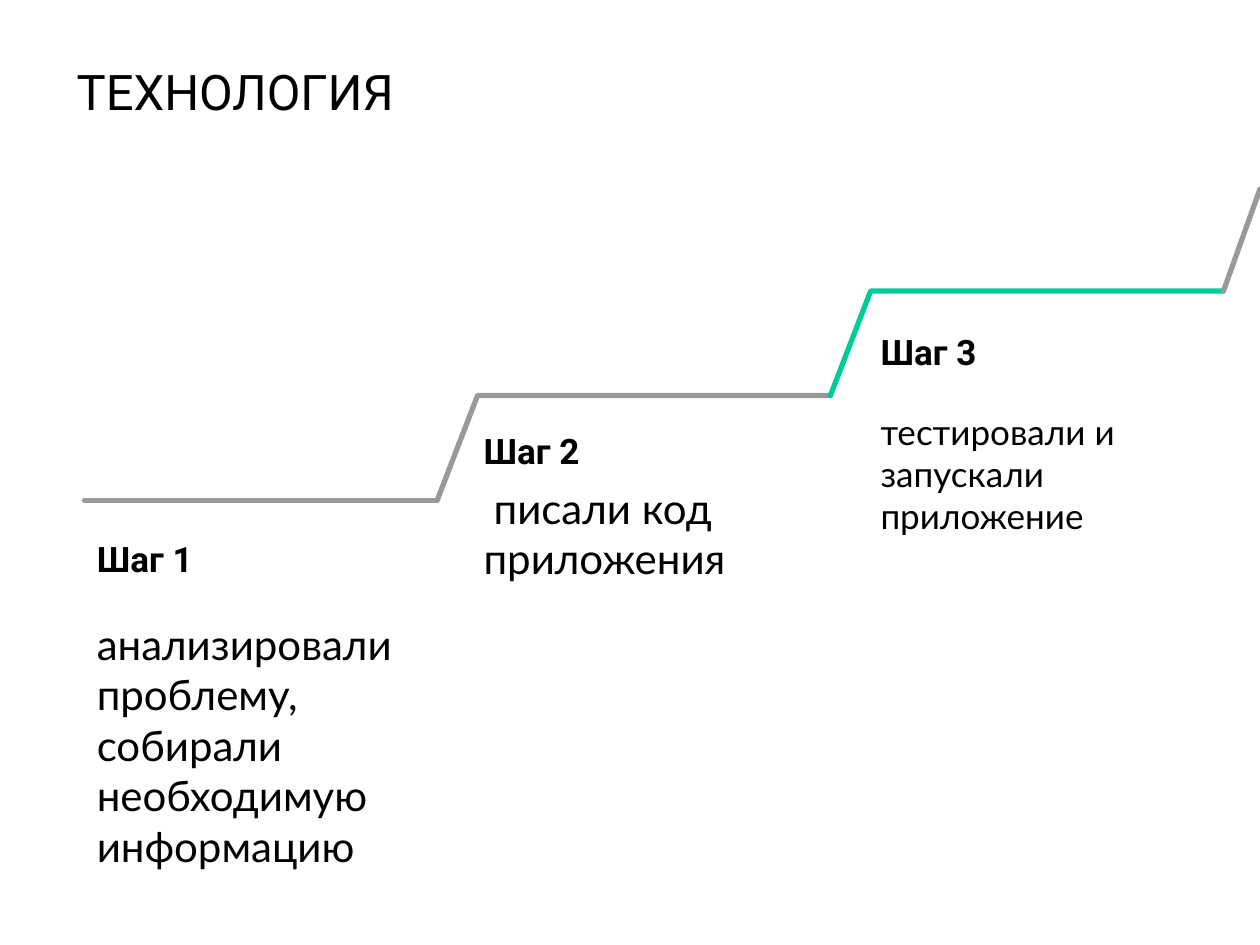
"""Builds the technology slide: a staircase of three project steps."""
from lxml.etree import SubElement
from pptx import Presentation
from pptx.dml.color import RGBColor
from pptx.oxml.ns import qn
from pptx.util import Inches, Pt

BLACK = RGBColor(0x00, 0x00, 0x00)
GRAY = RGBColor(0x99, 0x99, 0x99)
GREEN = RGBColor(0x00, 0xCC, 0x99)

FLAT_START, FIRST_RISER, BASE = 0.67, 3.47, 3.97
RUN, RISE, SLANT = 3.12, 0.83, 0.32


class StairSlide:
    heading_font = "Roboto"
    body_font = "Lato"
    line_width = Pt(3)

    def __init__(self, slide):
        self.slide = slide

    def text_frame(self, left, top, width, height):
        box = self.slide.shapes.add_textbox(
            Inches(left), Inches(top), Inches(width), Inches(height))
        box.text_frame.word_wrap = True
        return box.text_frame

    def style_text(self, paragraph, text, font, size, bold=False, after=0):
        paragraph.text = text
        paragraph.space_after = Pt(after)
        paragraph.font.name = font
        paragraph.font.size = Pt(size)
        paragraph.font.bold = bold
        paragraph.font.color.rgb = BLACK

    def title(self, text, left, top, width, height):
        frame = self.text_frame(left, top, width, height)
        self.style_text(frame.paragraphs[0], text, self.heading_font, 28)

    def step(self, heading, body, left, top, height, size, gap, indent):
        frame = self.text_frame(left, top, 2.73, height)
        self.style_text(frame.paragraphs[0], heading, self.heading_font, 20, True, gap)
        description = frame.add_paragraph()
        description._p.get_or_add_pPr().set("indent", str(Inches(indent)))
        self.style_text(description, body, self.body_font, size, after=6)

    def stair(self, points, color):
        start, *rest = [(Inches(x), Inches(y)) for x, y in points]
        builder = self.slide.shapes.build_freeform(*start)
        builder.add_line_segments(rest, close=False)
        stair = builder.convert_to_shape()
        stair.shadow.inherit = False
        stair.fill.background()
        stair.line.color.rgb = color
        stair.line.width = self.line_width
        outline = stair.line._get_or_add_ln()
        outline.set("cap", "rnd")
        SubElement(outline, qn("a:round"))


def main():
    presentation = Presentation()
    presentation.slide_width = Inches(10)
    presentation.slide_height = Inches(7.5)
    stairs = StairSlide(presentation.slides.add_slide(presentation.slide_layouts[6]))

    stairs.title("ТЕХНОЛОГИЯ", 0.51, 0.44, 9.4, 0.42)
    for step in (
        ("Шаг 1", "анализировали проблему, собирали необходимую информацию",
         0.67, 4.22, 2.74, 24, 22, 0),
        ("Шаг 3", "тестировали и запускали приложение", 6.89, 2.57, 1.74, 20, 22, 0),
        ("Шаг 2", "писали код приложения", 3.74, 3.36, 1.32, 24, 6, 0.08),
    ):
        stairs.step(*step)

    for index, color in enumerate((GRAY, GREEN)):
        left, bottom = FIRST_RISER + index * RUN, BASE - index * RISE
        top = bottom - RISE
        stairs.stair([(left, bottom), (left + SLANT, top), (left + RUN, top)], color)
    stairs.stair([(FIRST_RISER + 2 * RUN, BASE - 2 * RISE), (10, 1.5)], GRAY)
    stairs.stair([(FLAT_START, BASE), (FIRST_RISER, BASE)], GRAY)

    presentation.save("out.pptx")


if __name__ == "__main__":
    main()
